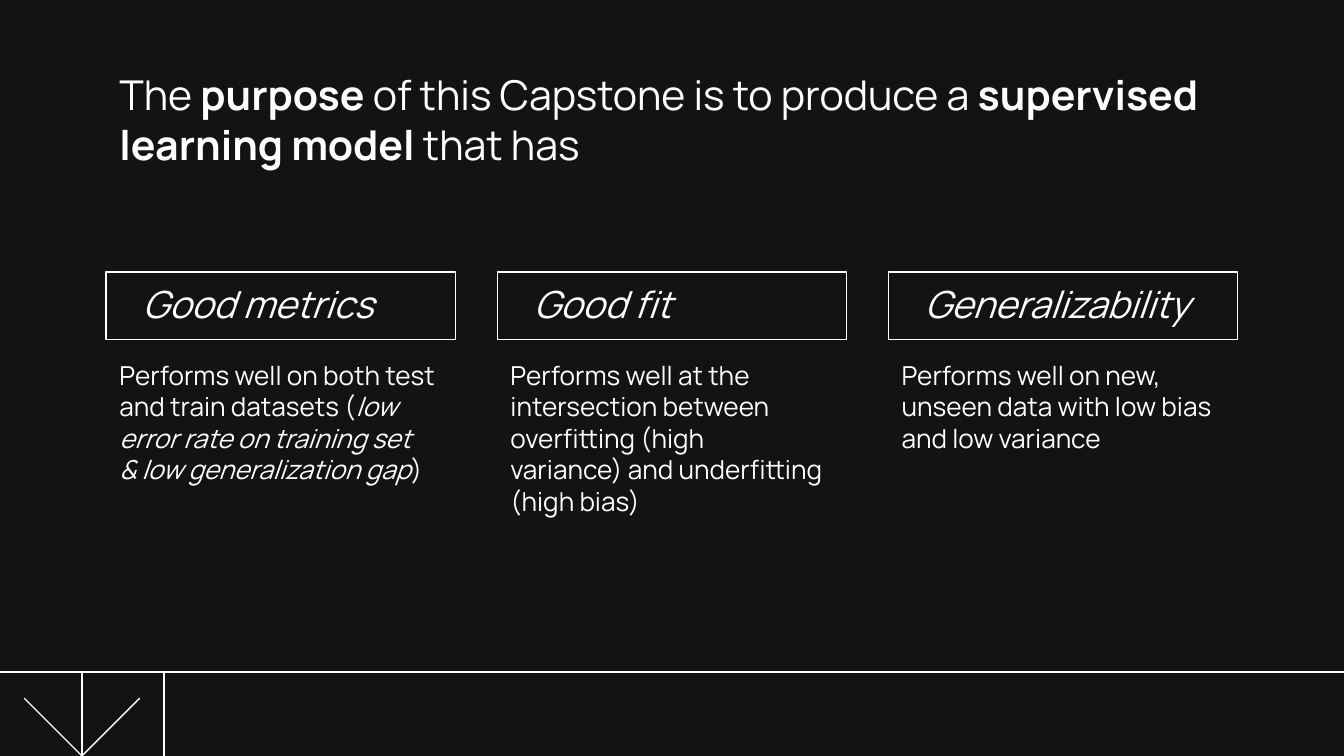
from lxml.etree import SubElement
from pptx import Presentation
from pptx.dml.color import RGBColor
from pptx.enum.shapes import MSO_CONNECTOR, MSO_SHAPE
from pptx.enum.text import MSO_ANCHOR, PP_ALIGN
from pptx.oxml.ns import qn
from pptx.util import Inches, Pt

WIDTH = 10
HEIGHT = WIDTH * 9 / 16
LEFT, COLUMN_WIDTH, GAP = 0.79, 2.6, 0.31
GOALS_TOP = HEIGHT * 0.36
FOOTER_TOP = 5
WHITE, BLACK = "FFFFFF", "131313"
BOLD, ITALIC = {"bold": True}, {"italic": True}

TITLE = [[("The ", {}), ("purpose ", BOLD),
          ("of this Capstone is to produce a ", {}),
          ("supervised learning model ", BOLD), ("that has", {})]]
GOALS = [
    ("Good metrics", [
        [("Performs well on both test", {})],
        [("and train datasets (", {}), ("low", ITALIC)],
        [("error rate on training set", ITALIC)],
        [("& low generalization gap", ITALIC), (")", {})],
    ]),
    ("Good fit", [
        [("Performs well at the", {})],
        [("intersection between", {})],
        [("overfitting (high", {})],
        [("variance) and underfitting", {})],
        [("(high bias)", {})],
    ]),
    ("Generalizability", [
        [("Performs well on new,", {})],
        [("unseen data with low bias", {})],
        [("and low variance", {})],
    ]),
]


def color(value):
    return RGBColor.from_string(value)


def set_attributes(target, values):
    for name, value in values.items():
        setattr(target, name, value)


def write(shape, paragraphs, size, anchor=MSO_ANCHOR.TOP, indent=0):
    """Fill a shape with paragraphs, each a list of (text, style) runs."""
    frame = shape.text_frame
    inset = Inches(0.1)
    set_attributes(frame, {
        "word_wrap": True, "vertical_anchor": anchor,
        "margin_left": inset + Inches(indent), "margin_right": inset,
        "margin_top": inset, "margin_bottom": inset})
    for index, runs in enumerate(paragraphs):
        paragraph = frame.add_paragraph() if index else frame.paragraphs[0]
        paragraph.alignment = PP_ALIGN.LEFT
        for text, style in runs:
            run = paragraph.add_run()
            run.text = text
            set_attributes(run.font, {"name": "Manrope", "size": Pt(size), **style})
            run.font.color.rgb = color(WHITE)


def add_text(slide, box, paragraphs, size):
    shape = slide.shapes.add_textbox(*map(Inches, box))
    write(shape, paragraphs, size)


def add_line(slide, start, end):
    connector = slide.shapes.add_connector(
        MSO_CONNECTOR.STRAIGHT, *map(Inches, (*start, *end)))
    connector.line.color.rgb = color(WHITE)
    connector.line.width = Pt(0.75)
    SubElement(connector._element.spPr, qn("a:effectLst"))


def add_footer(slide, left, top, width, height):
    """Draw the rule, the corner cell and the arrow pointing down in it."""
    bottom = top + height
    cell_width = 1.22
    tip = (left + cell_width / 2, bottom)
    reach = 0.43
    add_line(slide, (left, top), (left + width, top))
    add_line(slide, (left + cell_width, top), (left + cell_width, bottom))
    add_line(slide, (tip[0], top), tip)
    for side in (-1, 1):
        add_line(slide, (tip[0] + side * reach, bottom - reach), tip)


def add_goal(slide, left, top, width, heading, description):
    heading_height = 0.5
    frame = slide.shapes.add_shape(
        MSO_SHAPE.RECTANGLE, *map(Inches, (left, top, width, heading_height)))
    frame.shadow.inherit = False
    frame.fill.background()
    frame.line.color.rgb = color(WHITE)
    frame.line.width = Pt(0.75)
    write(frame, [[(heading, ITALIC)]], 20, MSO_ANCHOR.BOTTOM, indent=0.17)
    add_text(slide, (left, top + heading_height + 0.05, width, 1.65),
             description, 14)


def main():
    presentation = Presentation()
    presentation.slide_width = Inches(WIDTH)
    presentation.slide_height = Inches(HEIGHT)
    slide = presentation.slides.add_slide(presentation.slide_layouts[6])
    slide.background.fill.solid()
    slide.background.fill.fore_color.rgb = color(BLACK)

    add_footer(slide, 0, FOOTER_TOP, WIDTH, HEIGHT - FOOTER_TOP)
    add_text(slide, (LEFT, 0.42, WIDTH - 2 * LEFT, 0.61), TITLE, 22)
    for column, (heading, description) in enumerate(GOALS):
        left = LEFT + column * (COLUMN_WIDTH + GAP)
        add_goal(slide, left, GOALS_TOP, COLUMN_WIDTH, heading, description)
    presentation.save("out.pptx")


if __name__ == "__main__":
    main()
